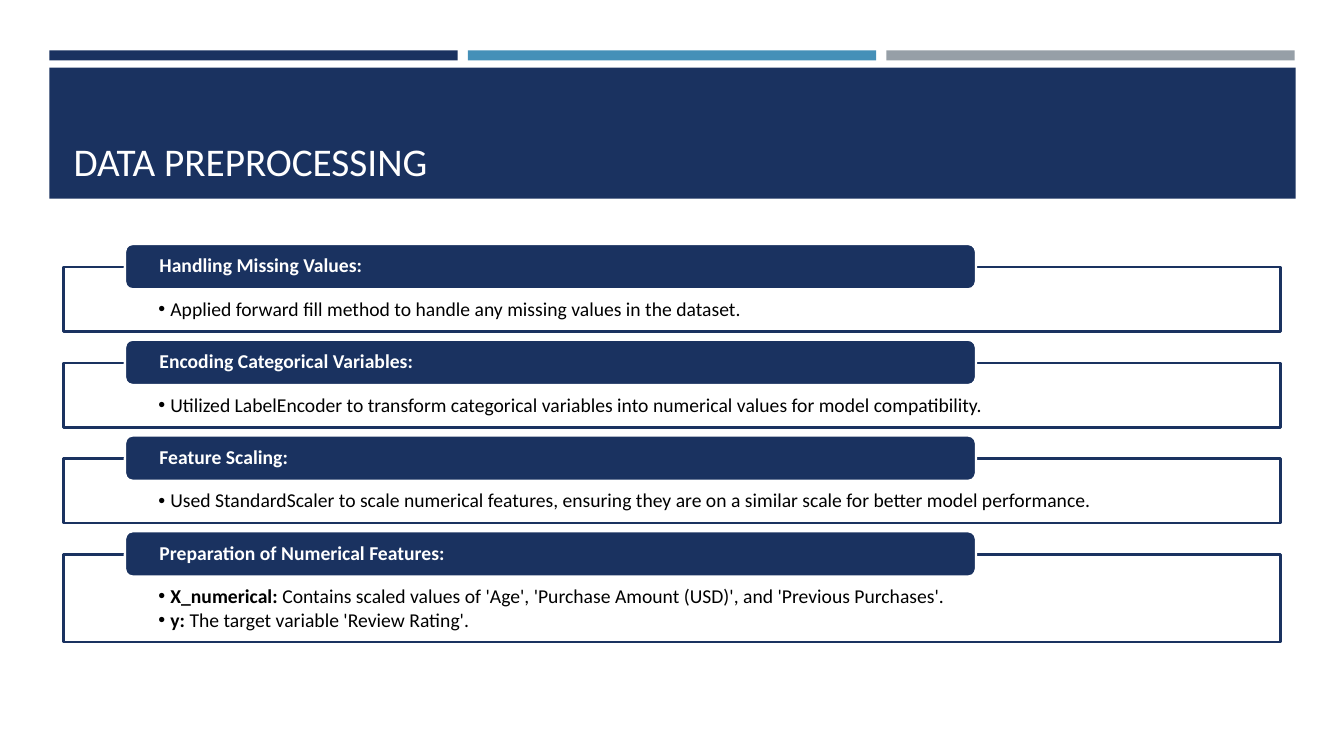
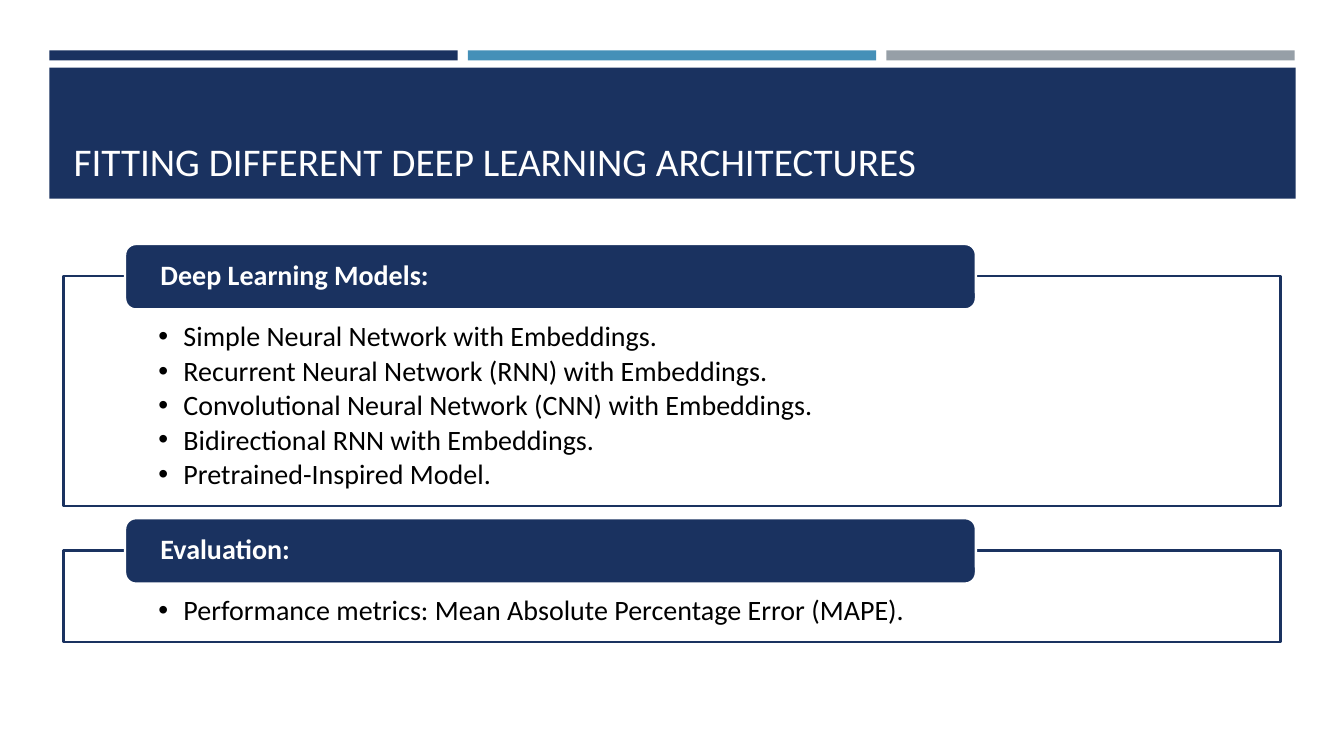
from dataclasses import dataclass

from lxml.etree import SubElement
from pptx import Presentation
from pptx.dml.color import RGBColor
from pptx.enum.shapes import MSO_SHAPE
from pptx.enum.text import MSO_ANCHOR, PP_ALIGN
from pptx.oxml.ns import qn
from pptx.util import Inches, Pt


@dataclass(frozen=True)
class Theme:
    font: str = "Calibri"
    navy: str = "1A3260"
    blue: str = "4590B8"
    gray: str = "969FA7"
    white: str = "FFFFFF"
    black: str = "000000"
    title_size: float = 28
    line_width: float = 1.75
    line_spacing: float = 0.9
    space_ratio: float = 0.15
    cards_top: float = 2.42


@dataclass(frozen=True)
class CardStyle:
    size: float
    tab_height: float
    tab_rise: float
    gap: float
    inset_top: float
    inset_bottom: float
    indent: float


THEME = Theme()
COMPACT = CardStyle(14, 0.45, 0.23, 0.08, 0.32, 0.02, 0.12)
LARGE = CardStyle(20, 0.65, 0.32, 0.12, 0.46, 0.04, 0.25)

PREPROCESSING = [
    ("Handling Missing Values:", 0.64,
     [("", "Applied forward fill method to handle any missing values in the dataset.")]),
    ("Encoding Categorical Variables:", 0.64,
     [("", "Utilized LabelEncoder to transform categorical variables into numerical values "
           "for model compatibility.")]),
    ("Feature Scaling:", 0.64,
     [("", "Used StandardScaler to scale numerical features, ensuring they are on a similar "
           "scale for better model performance.")]),
    ("Preparation of Numerical Features:", 0.87,
     [("X_numerical:", " Contains scaled values of 'Age', 'Purchase Amount (USD)', "
                       "and 'Previous Purchases'."),
      ("y:", " The target variable 'Review Rating'.")]),
]

ARCHITECTURES = [
    ("Deep Learning Models:", 2.28,
     [("", "Simple Neural Network with Embeddings."),
      ("", "Recurrent Neural Network (RNN) with Embeddings."),
      ("", "Convolutional Neural Network (CNN) with Embeddings."),
      ("", "Bidirectional RNN with Embeddings."),
      ("", "Pretrained-Inspired Model.")]),
    ("Evaluation:", 0.91,
     [("", "Performance metrics: Mean Absolute Percentage Error (MAPE).")]),
]


def add_block(s, kind, left, top, width, height, fill, line=None):
    sp = s.shapes.add_shape(kind, Inches(left), Inches(top), Inches(width), Inches(height))
    sp.shadow.inherit = False
    sp.fill.solid()
    sp.fill.fore_color.rgb = RGBColor.from_string(fill)
    if line:
        sp.line.color.rgb = RGBColor.from_string(line)
        sp.line.width = Pt(THEME.line_width)
    else:
        sp.line.fill.background()
    return sp


def set_frame(sp, anchor, left, top, right, bottom):
    tf = sp.text_frame
    tf.word_wrap = True
    tf.vertical_anchor = anchor
    tf.margin_left, tf.margin_top = Inches(left), Inches(top)
    tf.margin_right, tf.margin_bottom = Inches(right), Inches(bottom)
    tf.paragraphs[0].alignment = PP_ALIGN.LEFT
    return tf


def add_run(p, text, size, color, bold=False):
    r = p.add_run()
    r.text = text
    r.font.name = THEME.font
    r.font.size = Pt(size)
    r.font.bold = bold
    r.font.color.rgb = RGBColor.from_string(color)


def format_bullet(p, style):
    p.alignment = PP_ALIGN.LEFT
    p.line_spacing = THEME.line_spacing
    p.space_after = Pt(style.size * THEME.space_ratio)
    pPr = p._p.get_or_add_pPr()
    pPr.set("marL", str(Inches(style.indent)))
    pPr.set("indent", str(-Inches(style.indent)))
    SubElement(pPr, qn("a:buFont")).set("typeface", "Arial")
    SubElement(pPr, qn("a:buChar")).set("char", "•")


def add_header(s, title):
    for i, color in enumerate((THEME.navy, THEME.blue, THEME.gray)):
        add_block(s, MSO_SHAPE.RECTANGLE, 0.49 + i * 4.15, 0.5, 4.05, 0.1, color)
    band = add_block(s, MSO_SHAPE.RECTANGLE, 0.49, 0.67, 12.36, 1.3, THEME.navy)
    tf = set_frame(band, MSO_ANCHOR.BOTTOM, 0.24, 0.15, 0.24, 0.14)
    add_run(tf.paragraphs[0], title, THEME.title_size, THEME.white)


def add_card(s, top, height, heading, bullets, style):
    box = add_block(s, MSO_SHAPE.RECTANGLE, 0.63, top + style.tab_rise, 12.07, height,
                    THEME.white, THEME.navy)
    tf = set_frame(box, MSO_ANCHOR.TOP, 0.94, style.inset_top, 0.94, style.inset_bottom)
    for i, (lead, text) in enumerate(bullets):
        p = tf.add_paragraph() if i else tf.paragraphs[0]
        format_bullet(p, style)
        if lead:
            add_run(p, lead, style.size, THEME.black, bold=True)
        add_run(p, text, style.size, THEME.black)

    tab = add_block(s, MSO_SHAPE.ROUNDED_RECTANGLE, 1.24, top, 8.44, style.tab_height,
                    THEME.navy, THEME.white)
    p = set_frame(tab, MSO_ANCHOR.MIDDLE, 0.32, 0, 0.32, 0).paragraphs[0]
    p.line_spacing = THEME.line_spacing
    add_run(p, heading, style.size, THEME.white, bold=True)


def add_card_slide(prs, title, cards, style):
    s = prs.slides.add_slide(prs.slide_layouts[6])
    add_header(s, title)
    top = THEME.cards_top
    for heading, height, bullets in cards:
        add_card(s, top, height, heading, bullets, style)
        top += style.tab_rise + height + style.gap


def main():
    prs = Presentation()
    prs.slide_width, prs.slide_height = Inches(13.33), Inches(7.5)
    add_card_slide(prs, "DATA PREPROCESSING", PREPROCESSING, COMPACT)
    add_card_slide(prs, "FITTING DIFFERENT DEEP LEARNING ARCHITECTURES", ARCHITECTURES, LARGE)
    prs.save("out.pptx")


if __name__ == "__main__":
    main()
